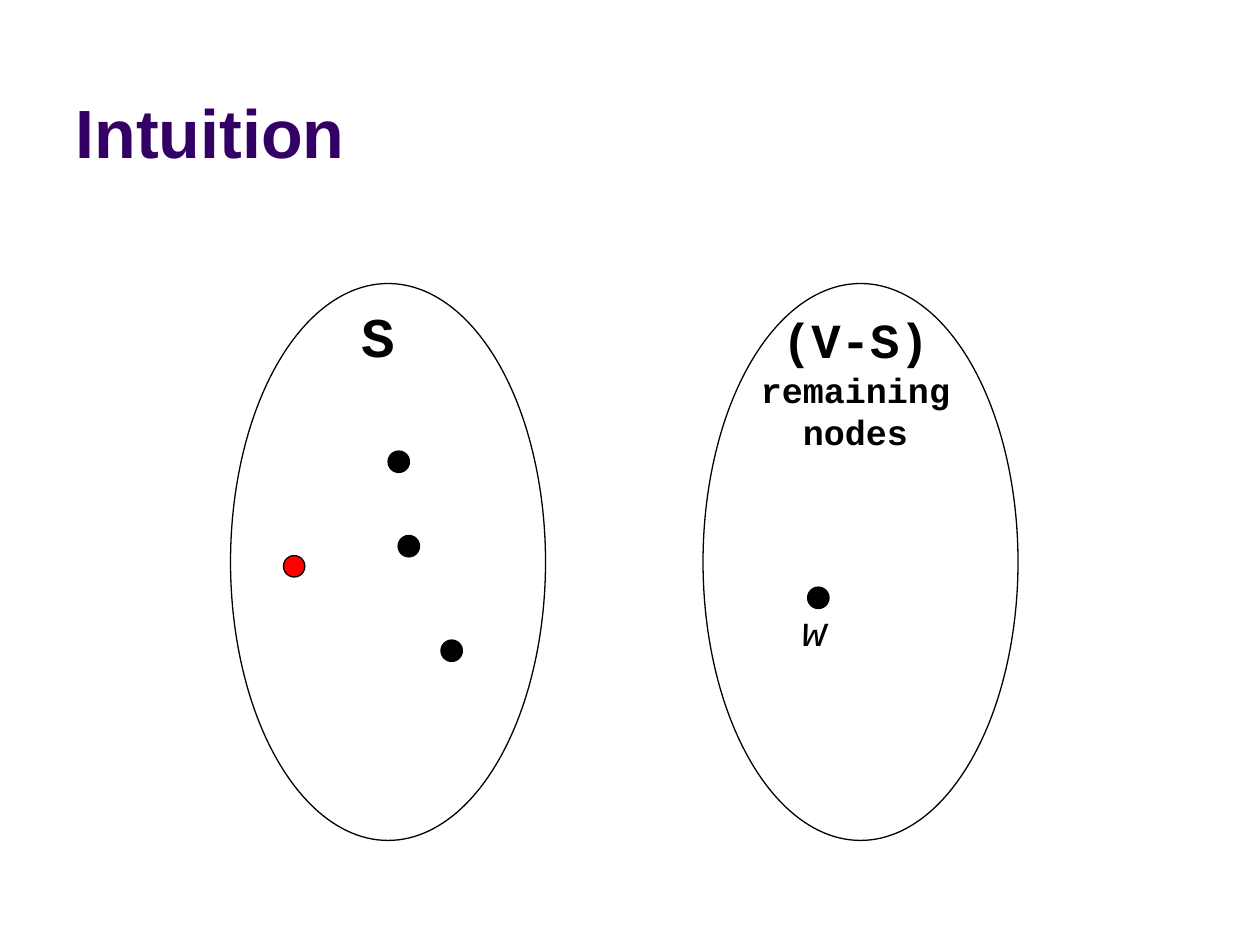
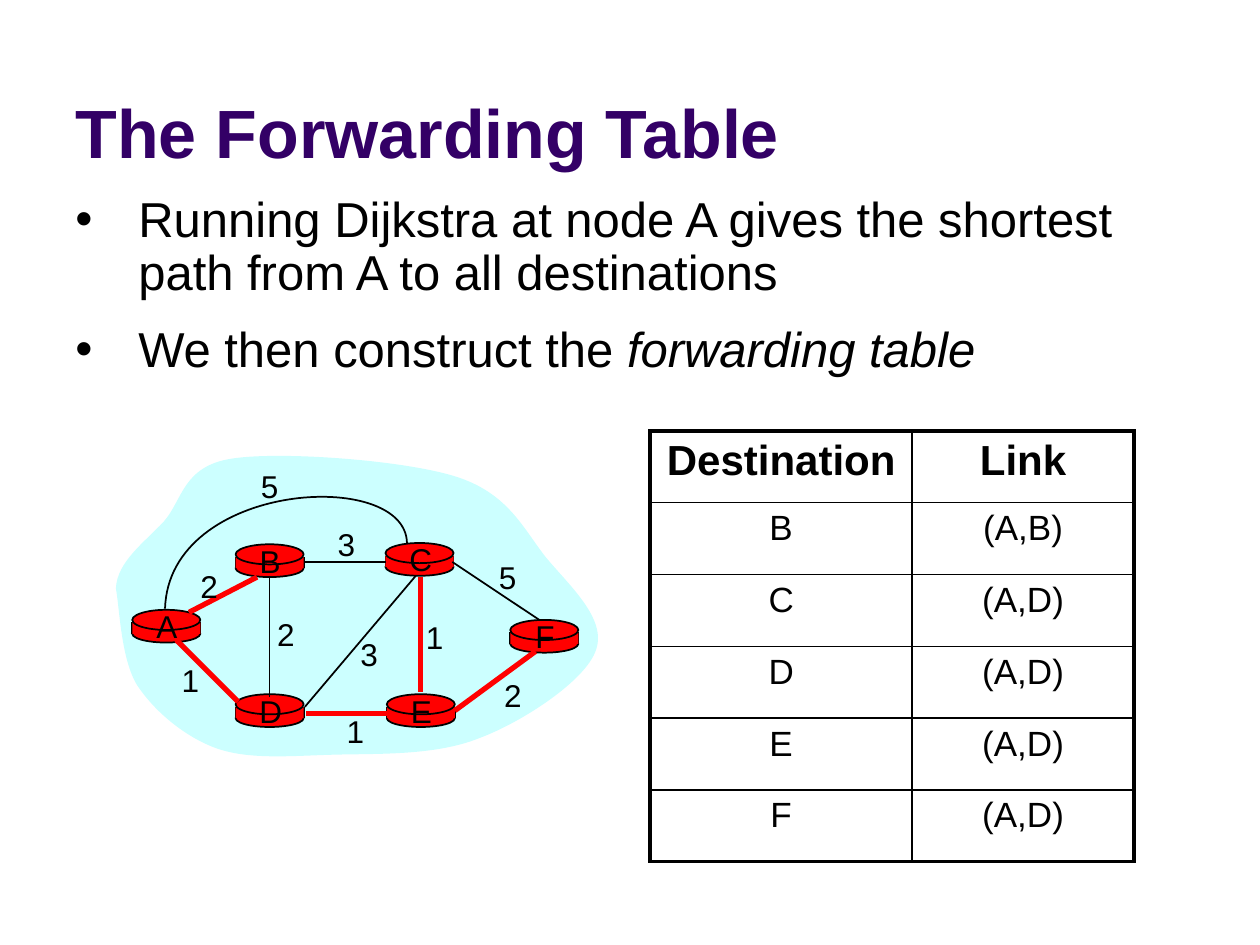
from dataclasses import dataclass

from lxml import etree
from pptx import Presentation
from pptx.dml.color import RGBColor
from pptx.enum.shapes import MSO_CONNECTOR, MSO_SHAPE
from pptx.enum.text import MSO_ANCHOR, MSO_AUTO_SIZE, PP_ALIGN
from pptx.oxml.ns import qn
from pptx.util import Inches, Pt

LEFT, CENTER, RIGHT = PP_ALIGN.LEFT, PP_ALIGN.CENTER, PP_ALIGN.RIGHT
OVAL, RECT = MSO_SHAPE.OVAL, MSO_SHAPE.RECTANGLE
STRAIGHT = MSO_CONNECTOR.STRAIGHT
BOTTOM = MSO_ANCHOR.BOTTOM
NO_FIT, GROW = MSO_AUTO_SIZE.NONE, MSO_AUTO_SIZE.SHAPE_TO_FIT_TEXT
TITLE_ONLY = 5


@dataclass(frozen=True)
class Theme:
    sans: str = "Arial"
    mono: str = "Courier New"
    title: str = "330066"
    ink: str = "000000"
    accent: str = "FF0000"
    cloud: str = "CCFFFF"
    title_size: float = 39
    set_size: float = 32
    body_size: float = 28
    head_size: float = 24
    cell_size: float = 20
    label_size: float = 18
    thin: float = 0.75
    link: float = 1
    frame: float = 2.25
    best: float = 3


def inches(*values):
    return [Inches(v) for v in values]


class Deck:
    def __init__(self, theme):
        self.theme = theme
        self.prs = Presentation()
        self.prs.slide_width, self.prs.slide_height = inches(10, 7.5)
        self.s = None

    def slide(self, title):
        t = self.theme
        self.s = self.prs.slides.add_slide(self.prs.slide_layouts[TITLE_ONLY])
        sp = self.s.shapes.title
        sp.left, sp.top, sp.width, sp.height = inches(0.5, 0.14, 9, 1.28)
        tf = sp.text_frame
        tf.text = title
        tf.auto_size = NO_FIT
        tf.vertical_anchor = BOTTOM
        tf.paragraphs[0].alignment = LEFT
        self.font(tf.paragraphs[0].runs[0], t.title_size, t.sans, t.title, bold=True)

    def font(self, r, size, name, color=None, bold=False, italic=False):
        r.font.name = name
        r.font.size = Pt(size)
        r.font.bold = bold
        r.font.italic = italic
        r.font.color.rgb = RGBColor.from_string(color or self.theme.ink)

    def text(self, box, lines, name, align=CENTER, wrap=True, fit=GROW, **style):
        tf = self.s.shapes.add_textbox(*inches(*box)).text_frame
        tf.word_wrap = wrap
        tf.auto_size = fit
        tf.text = "\n".join(line for line, _ in lines)
        for p, (_, size) in zip(tf.paragraphs, lines):
            p.alignment = align
            self.font(p.runs[0], size, name, **style)
        return tf

    def label(self, x, y, text, width=0.34):
        t = self.theme
        self.text((x, y, width, 0.4), [(text, t.label_size)], t.sans, wrap=False)

    def bullets(self, box, lines):
        t = self.theme
        tf = self.text(box, [(line, t.body_size) for line in lines], t.sans,
                       align=LEFT, fit=NO_FIT)
        for p in tf.paragraphs:
            p.line_spacing = 0.9
            p.space_before = Pt(t.body_size / 2)
            pPr = p._p.get_or_add_pPr()
            pPr.set("marL", str(Inches(0.5)))
            pPr.set("indent", str(Inches(-0.5)))
            etree.SubElement(pPr, qn("a:buFont")).set("typeface", t.sans)
            etree.SubElement(pPr, qn("a:buChar")).set("char", "•")
        return tf

    def paint(self, sp, fill=None, line=None, width=1):
        sp.shadow.inherit = False
        for part, color in ((sp.fill, fill), (sp.line.fill, line)):
            if color:
                part.solid()
                part.fore_color.rgb = RGBColor.from_string(color)
            else:
                part.background()
        if line:
            sp.line.width = Pt(width)

    def shape(self, kind, box, **style):
        self.paint(self.s.shapes.add_shape(kind, *inches(*box)), **style)

    def line(self, x1, y1, x2, y2, color, width):
        c = self.s.shapes.add_connector(STRAIGHT, *inches(x1, y1, x2, y2))
        c.line.color.rgb = RGBColor.from_string(color)
        c.line.width = Pt(width)
        etree.SubElement(c._element.spPr, qn("a:effectLst"))

    def curve(self, start, points, close=False, **style):
        builder = self.s.shapes.build_freeform(*inches(*start))
        builder.add_line_segments([inches(*point) for point in points], close=close)
        sp = builder.convert_to_shape()
        segments = list(sp._element.iter(qn("a:lnTo")))
        for i in range(0, len(points), 3):
            bezier = etree.Element(qn("a:cubicBezTo"))
            segments[i].addprevious(bezier)
            for segment in segments[i:i + 3]:
                bezier.append(segment[0])
                segment.getparent().remove(segment)
        for segment in segments[len(points):]:
            segment.getparent().remove(segment)
        self.paint(sp, **style)

    def dot(self, x, y, color):
        self.shape(OVAL, (x, y, 0.17, 0.17), fill=color,
                   line=self.theme.ink, width=self.theme.thin)

    def router(self, x, y):
        t = self.theme
        w = 0.54
        rim = {"fill": t.accent, "line": t.ink, "width": t.link}
        self.shape(OVAL, (x, y + 0.12, w, 0.14), **rim)
        for side in (x, x + w):
            self.line(side, y + 0.1, side, y + 0.19, t.ink, t.link)
        self.shape(RECT, (x, y + 0.1, w, 0.09), fill=t.accent)
        self.shape(OVAL, (x, y, w, 0.16), **rim)

    def border(self, cell, edge, width):
        ln = etree.SubElement(cell._tc.get_or_add_tcPr(), qn("a:ln" + edge))
        ln.set("w", str(Pt(width)))
        fill = etree.SubElement(ln, qn("a:solidFill"))
        etree.SubElement(fill, qn("a:srgbClr")).set("val", self.theme.ink)

    def table(self, x, y, widths, row_height, rows):
        t = self.theme
        n, m = len(rows), len(widths)
        table = self.s.shapes.add_table(
            n, m, *inches(x, y, sum(widths), n * row_height)).table
        table.first_row = table.horz_banding = False
        for column, width in zip(table.columns, widths):
            column.width = Inches(width)
        for i, row in enumerate(rows):
            table.rows[i].height = Inches(row_height)
            for j, value in enumerate(row):
                cell = table.cell(i, j)
                outer = {"L": j == 0, "R": j == m - 1, "T": i == 0, "B": i == n - 1}
                for edge, is_outer in outer.items():
                    self.border(cell, edge, t.frame if is_outer else t.link)
                cell.fill.background()
                cell.text_frame.text = value
                p = cell.text_frame.paragraphs[0]
                p.alignment = CENTER
                self.font(p.runs[0], t.cell_size if i else t.head_size,
                          t.sans, bold=i == 0)


def intuition(deck):
    t = deck.theme
    deck.slide("Intuition")
    for x in (1.83, 5.58):
        deck.shape(OVAL, (x, 2.25, 2.5, 4.42), line=t.ink, width=t.thin)
    deck.text((1.92, 2.34, 2.17, 0.64), [("S", t.set_size)], t.mono, bold=True)
    deck.text((5.83, 2.41, 1.92, 1.25),
              [("(V-S)", t.body_size), ("remaining nodes", t.cell_size)],
              t.mono, bold=True)
    deck.text((6.18, 4.75, 0.48, 0.5), [("w", t.head_size)], t.mono,
              align=RIGHT, wrap=False, italic=True)
    for x, y in ((6.41, 4.66), (3.08, 3.58), (3.16, 4.25), (3.5, 5.08)):
        deck.dot(x, y, t.ink)
    deck.dot(2.25, 4.41, t.accent)


def forwarding_table(deck):
    t = deck.theme
    deck.slide("The Forwarding Table")
    tf = deck.bullets((0.5, 1.5, 9, 5.42), [
        "Running Dijkstra at node A gives the shortest path from A to all destinations",
        "We then construct the "])
    r = tf.paragraphs[1].add_run()
    r.text = "forwarding table"
    deck.font(r, t.body_size, t.sans, italic=True)

    deck.curve((0.92, 4.67), [
        (0.93, 4.46), (1.14, 4.31), (1.3, 4.14), (1.45, 3.97), (1.45, 3.7), (1.84, 3.64),
        (2.22, 3.58), (3.19, 3.65), (3.61, 3.78), (4.03, 3.91), (4.15, 4.19), (4.33, 4.42),
        (4.52, 4.65), (4.82, 4.91), (4.73, 5.16), (4.65, 5.4), (4.15, 5.73), (3.8, 5.86),
        (3.45, 6), (2.99, 5.98), (2.64, 5.99), (2.3, 6), (1.98, 6.03), (1.72, 5.94),
        (1.47, 5.85), (1.23, 5.65), (1.09, 5.44), (0.96, 5.23), (0.95, 4.83), (0.92, 4.67),
    ], close=True, fill=t.cloud)

    routers = {"A": (1.05, 4.84), "B": (1.87, 4.32), "C": (3.06, 4.31),
               "D": (1.87, 5.51), "E": (3.07, 5.51), "F": (4.05, 4.92)}
    for x, y in routers.values():
        deck.router(x, y)

    plain_links = [(2.14, 4.59, 2.14, 5.53), (2.42, 5.61, 3.3, 4.57),
                   (3.06, 4.46, 2.42, 4.46), (4.28, 4.92, 3.59, 4.46)]
    best_links = [(3.34, 4.58, 3.34, 5.49), (3.61, 5.64, 4.25, 5.17),
                  (3.07, 5.66, 2.43, 5.66), (1.4, 5.08, 1.89, 5.57),
                  (1.5, 4.86, 2.04, 4.58)]
    for link in plain_links:
        deck.line(*link, t.ink, t.link)
    for link in best_links:
        deck.line(*link, t.accent, t.best)
    deck.curve((3.23, 4.31), [(3.22, 3.71), (1.34, 3.82), (1.31, 4.83)],
               line=t.ink, width=t.link)

    for name, (x, y) in routers.items():
        deck.label(x + 0.09, y - 0.07, name, 0.37)
    costs = [(1.49, 4.45, "2"), (2.1, 4.83, "2"), (1.34, 5.2, "1"), (2.76, 4.99, "3"),
             (2.65, 5.6, "1"), (3.28, 4.86, "1"), (3.9, 5.32, "2"), (3.86, 4.38, "5"),
             (2.58, 4.12, "3"), (1.97, 3.66, "5")]
    for x, y, cost in costs:
        deck.label(x, y, cost)

    deck.table(5.16, 3.42, (2.08, 1.76), 0.57, [
        ("Destination", "Link"), ("B", "(A,B)"), ("C", "(A,D)"),
        ("D", "(A,D)"), ("E", "(A,D)"), ("F", "(A,D)")])


def main():
    deck = Deck(Theme())
    intuition(deck)
    forwarding_table(deck)
    deck.prs.save("out.pptx")


if __name__ == "__main__":
    main()
